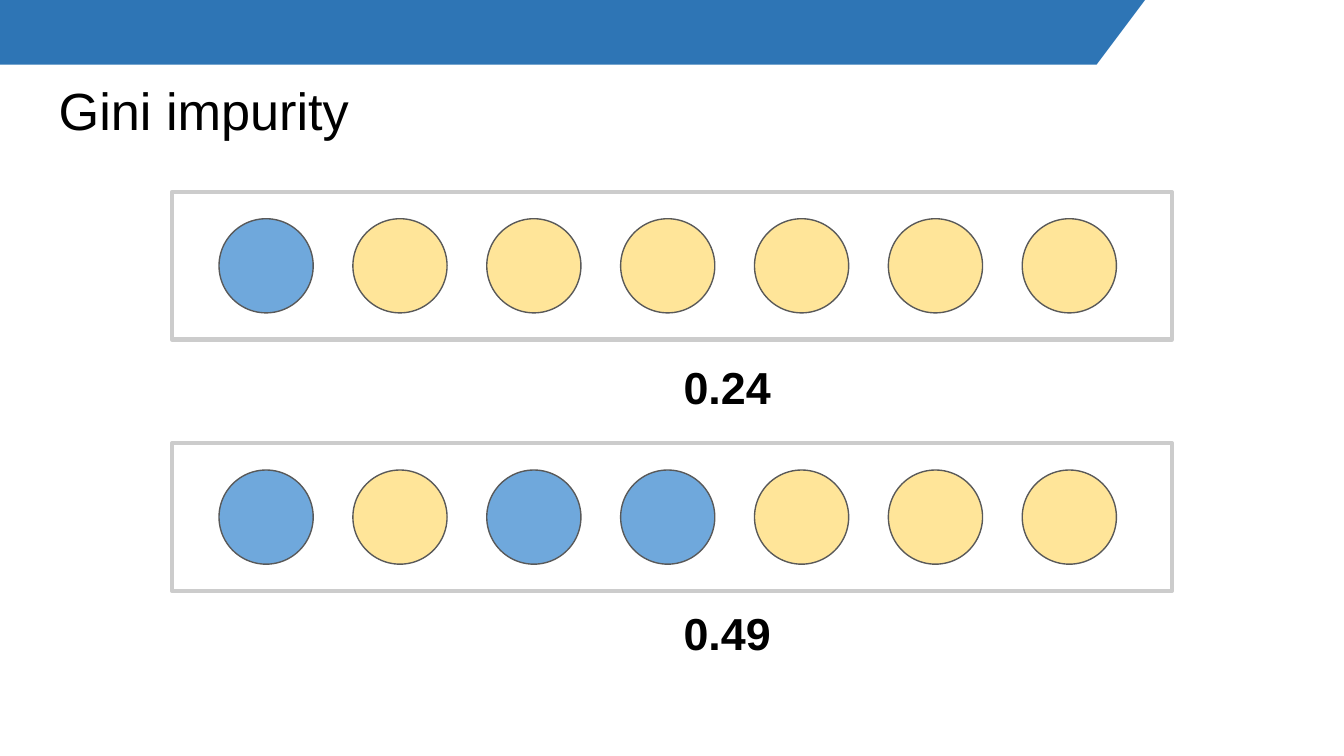
from pptx import Presentation
from pptx.dml.color import RGBColor
from pptx.enum import shapes, text
from pptx.util import Cm, Pt

TITLE = "Gini impurity"
GROUPS = [
    {"balls": "BYYYYYY", "impurity": "0.24", "top": 3.63, "label_top": 6.5},
    {"balls": "BYBBYYY", "impurity": "0.49", "top": 8.38, "label_top": 11.15},
]
COLORS = {
    "banner": "2E75B5",
    "frame": "CCCCCC",
    "outline": "595959",
    "text": "000000",
    "B": "6FA8DC",
    "Y": "FFE599",
}
FRAME_LEFT, FRAME_WIDTH, FRAME_HEIGHT = 3.25, 18.9, 2.79
BALL_LEFT, BALL_SIZE, BALL_PITCH = 4.14, 1.78, 2.53
LABEL_LEFT, LABEL_WIDTH, LABEL_HEIGHT = 12.67, 2.21, 1.6
INSET = 0.25


def color(name):
    return RGBColor.from_string(COLORS[name])


def add_figure(slide, kind, box, fill=None, line=None, line_width=0):
    figure = slide.shapes.add_shape(kind, *map(Cm, box))
    figure.shadow.inherit = False
    if fill:
        figure.fill.solid()
        figure.fill.fore_color.rgb = color(fill)
    else:
        figure.fill.background()
    if line:
        figure.line.color.rgb = color(line)
        figure.line.width = Pt(line_width)
    else:
        figure.line.fill.background()
    return figure


def write(holder, words, size, bold, anchor):
    frame = holder.text_frame
    frame.text = words
    frame.word_wrap = True
    frame.auto_size = text.MSO_AUTO_SIZE.NONE
    frame.vertical_anchor = anchor
    frame.margin_left = frame.margin_right = Cm(INSET)
    frame.margin_top = frame.margin_bottom = Cm(INSET)
    paragraph = frame.paragraphs[0]
    paragraph.alignment = text.PP_ALIGN.LEFT
    paragraph.font.name = "Arial"
    paragraph.font.size = Pt(size)
    paragraph.font.bold = bold
    paragraph.font.color.rgb = color("text")


def add_group(slide, group):
    top = group["top"]
    add_figure(slide, shapes.MSO_SHAPE.RECTANGLE,
               (FRAME_LEFT, top, FRAME_WIDTH, FRAME_HEIGHT),
               line="frame", line_width=2.25)
    ball_top = top + (FRAME_HEIGHT - BALL_SIZE) / 2
    for i, ball in enumerate(group["balls"]):
        add_figure(slide, shapes.MSO_SHAPE.OVAL,
                   (BALL_LEFT + i * BALL_PITCH, ball_top, BALL_SIZE, BALL_SIZE),
                   fill=ball, line="outline", line_width=0.75)
    impurity = slide.shapes.add_textbox(
        Cm(LABEL_LEFT), Cm(group["label_top"]), Cm(LABEL_WIDTH), Cm(LABEL_HEIGHT))
    write(impurity, group["impurity"], 24, True, text.MSO_ANCHOR.MIDDLE)


def main():
    deck = Presentation()
    deck.slide_width, deck.slide_height = Cm(25.4), Cm(14.29)
    slide = deck.slides.add_slide(deck.slide_layouts[5])

    banner = add_figure(slide, shapes.MSO_SHAPE.TRAPEZOID,
                        (-2.29, 0, 23.93, 1.22), fill="banner")
    banner.rotation = 180
    banner.adjustments[0] = 0.75

    title = slide.shapes.title
    title.left, title.top, title.width, title.height = map(Cm, (0.86, 1.22, 23.67, 1.6))
    write(title, TITLE, 28, False, text.MSO_ANCHOR.TOP)

    for group in GROUPS:
        add_group(slide, group)
    deck.save("out.pptx")


if __name__ == "__main__":
    main()
